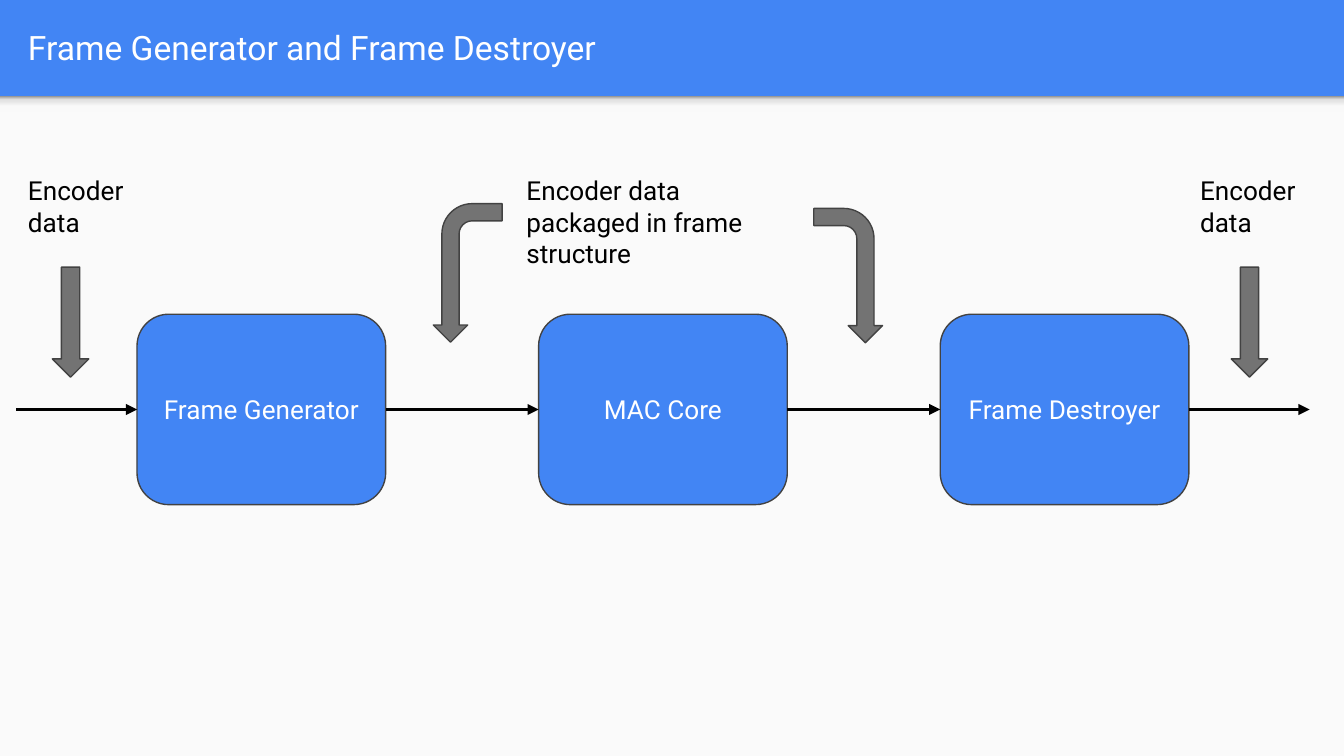
from dataclasses import dataclass

from lxml import etree
from pptx import Presentation
from pptx import util as u
from pptx.dml.color import RGBColor
from pptx.enum import shapes, text
from pptx.oxml import ns

Cm = u.Cm
Kind = shapes.MSO_SHAPE


@dataclass(frozen=True)
class Theme:
    font: str = "Roboto"
    blue: str = "4285F4"
    paper: str = "FAFAFA"
    white: str = "FFFFFF"
    black: str = "000000"
    grey: str = "737373"
    outline: str = "424242"
    shade: tuple = ((0, "F9F9F9"), (36, "F9F9F9"), (80, "DEDEDE"), (100, "999999"))
    title_size: int = 18
    body_size: int = 14
    outline_width: float = 0.75
    flow_width: float = 1.5


THEME = Theme()
SLIDE_WIDTH, SLIDE_HEIGHT = 25.4, 14.29
HEADER_HEIGHT = 1.82
STAGES = ("Frame Generator", "MAC Core", "Frame Destroyer")
STAGE_LEFT, STAGE_TOP, STAGE_PITCH = 2.59, 5.94, 7.59
STAGE_WIDTH, STAGE_HEIGHT = 4.7, 3.6
FLOW_START, FLOW_END = 0.31, 24.75
INSET = 0.25


def colour(value):
    return RGBColor.from_string(value)


def add_shape(page, kind, left, top, width, height, fill, outlined=True):
    shape = page.shapes.add_shape(kind, Cm(left), Cm(top), Cm(width), Cm(height))
    shape.shadow.inherit = False
    shape.fill.solid()
    shape.fill.fore_color.rgb = colour(fill)
    if outlined:
        shape.line.color.rgb = colour(THEME.outline)
        shape.line.width = u.Pt(THEME.outline_width)
    else:
        shape.line.fill.background()
    return shape


def write(shape, words, size, ink, align, anchor):
    frame = shape.text_frame
    frame.word_wrap = True
    frame.vertical_anchor = anchor
    frame.margin_left = frame.margin_right = Cm(INSET)
    frame.margin_top = frame.margin_bottom = Cm(INSET)
    para = frame.paragraphs[0]
    para.alignment = align
    span = para.add_run()
    span.text = words
    span.font.name = THEME.font
    span.font.size = u.Pt(size)
    span.font.color.rgb = colour(ink)


def add_label(page, words, left, top, width, height, size=THEME.body_size,
              ink=THEME.black, anchor=text.MSO_ANCHOR.TOP):
    box = page.shapes.add_textbox(Cm(left), Cm(top), Cm(width), Cm(height))
    write(box, words, size, ink, text.PP_ALIGN.LEFT, anchor)


def add_header_shadow(page):
    band = add_shape(page, Kind.RECTANGLE, 0, HEADER_HEIGHT, SLIDE_WIDTH, 0.3,
                     THEME.paper, outlined=False)
    band.fill.gradient()
    band.fill.gradient_angle = 90
    # Replace the two default stops with the theme's four
    stops = band.fill._fill._gradFill.find(ns.qn("a:gsLst"))
    for stop in list(stops):
        stops.remove(stop)
    for position, value in THEME.shade:
        stop = etree.SubElement(stops, ns.qn("a:gs"), pos=str(position * 1000))
        etree.SubElement(stop, ns.qn("a:srgbClr"), val=value)


def add_stage(page, words, left):
    box = add_shape(page, Kind.ROUNDED_RECTANGLE, left, STAGE_TOP,
                    STAGE_WIDTH, STAGE_HEIGHT, THEME.blue)
    write(box, words, THEME.body_size, THEME.white,
          text.PP_ALIGN.CENTER, text.MSO_ANCHOR.MIDDLE)
    return box


def add_flow(page, source=None, target=None):
    level = Cm(STAGE_TOP + STAGE_HEIGHT / 2)
    arrow = page.shapes.add_connector(shapes.MSO_CONNECTOR.STRAIGHT,
                                      Cm(FLOW_START), level, Cm(FLOW_END), level)
    if source is not None:
        arrow.begin_connect(source, 3)
    if target is not None:
        arrow.end_connect(target, 1)
    arrow.line.color.rgb = colour(THEME.black)
    arrow.line.width = u.Pt(THEME.flow_width)
    etree.SubElement(arrow.line._get_or_add_ln(), ns.qn("a:tailEnd"), type="triangle")
    etree.SubElement(arrow._element.spPr, ns.qn("a:effectLst"))


def add_bent_arrow(page, left, top, width, rotation, flipped=False):
    arrow = add_shape(page, Kind.BENT_ARROW, left, top, width, 1.3, THEME.grey)
    arrow.rotation = rotation
    for index, value in enumerate((0.25, 0.25, 0.25, 0.44)):
        arrow.adjustments[index] = value
    if flipped:
        arrow._element.spPr.xfrm.set("flipH", "1")


def main():
    deck = Presentation()
    deck.slide_width, deck.slide_height = Cm(SLIDE_WIDTH), Cm(SLIDE_HEIGHT)
    page = deck.slides.add_slide(deck.slide_layouts[6])

    # Header and body panel
    page.background.fill.solid()
    page.background.fill.fore_color.rgb = colour(THEME.blue)
    add_shape(page, Kind.RECTANGLE, 0, HEADER_HEIGHT, SLIDE_WIDTH,
              SLIDE_HEIGHT - HEADER_HEIGHT, THEME.paper, outlined=False)
    add_header_shadow(page)
    add_label(page, "Frame Generator and Frame Destroyer", 0.28, 0.05, 24.5, 1.68,
              THEME.title_size, THEME.white, text.MSO_ANCHOR.MIDDLE)

    # Stages and the data flow through them
    stages = [add_stage(page, words, STAGE_LEFT + index * STAGE_PITCH)
              for index, words in enumerate(STAGES)]
    for source, target in zip([None, *stages], [*stages, None]):
        add_flow(page, source, target)

    # Notes on what each flow carries
    for words, left, width in (("Encoder data", 0.28, 2.35),
                               ("Encoder data packaged in frame structure", 9.7, 5.5),
                               ("Encoder data", 22.43, 2.35)):
        add_label(page, words, left, 3.05, width, 1.7)

    # Arrows from the notes to the flows
    for left in (0.99, 23.27):
        add_shape(page, Kind.DOWN_ARROW, left, 5.05, 0.69, 2.08, THEME.grey)
    add_bent_arrow(page, 14.76, 4.56, 2.54, 90)
    add_bent_arrow(page, 7.53, 4.51, 2.62, 270, flipped=True)

    deck.save("out.pptx")


if __name__ == "__main__":
    main()
